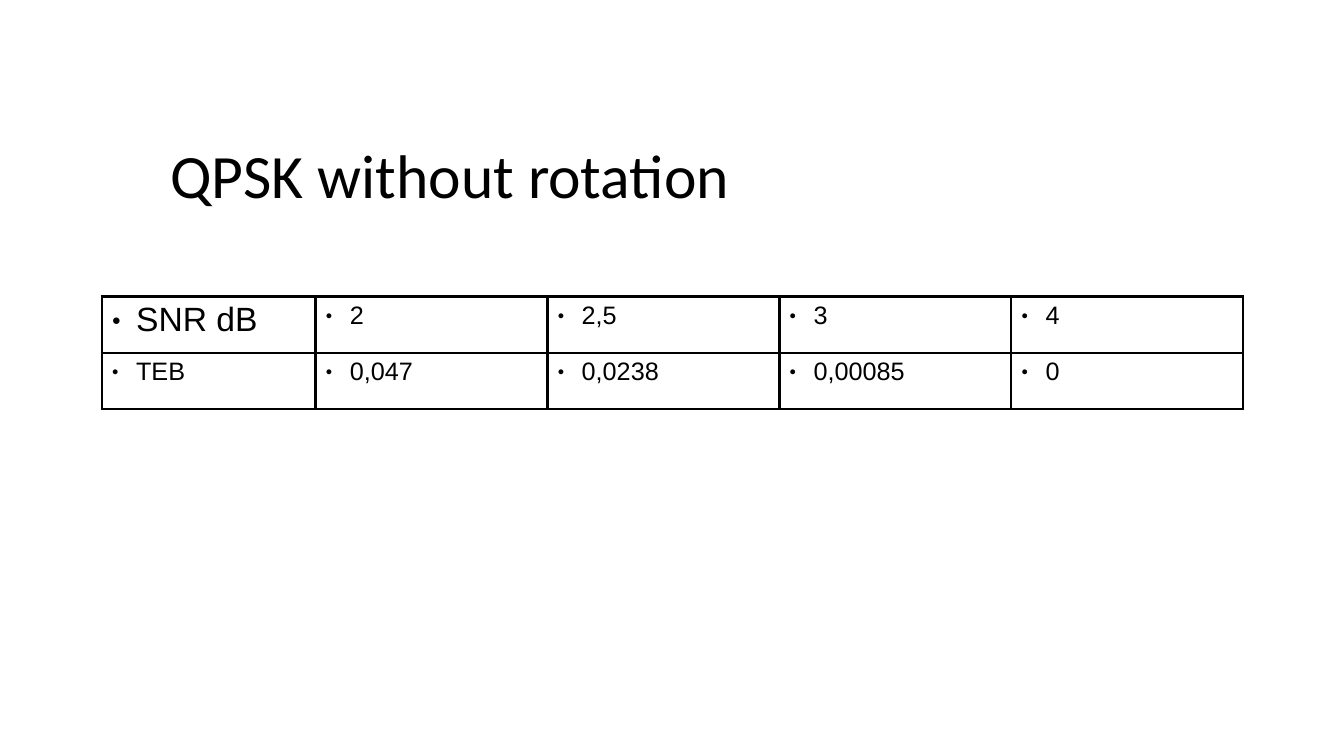
from lxml.etree import SubElement
from pptx import Presentation
from pptx.dml.color import RGBColor
from pptx.enum.text import MSO_ANCHOR
from pptx.oxml.ns import qn
from pptx.util import Inches, Pt

TITLE = "QPSK without rotation"
ROWS = [
    ("SNR dB", "2", "2,5", "3", "4"),
    ("TEB", "0,047", "0,0238", "0,00085", "0"),
]
COLUMN_WIDTHS = [2.12] + [2.3] * 4
ROW_HEIGHT = 0.56
INK = "000000"
BORDER_WIDTH = 1.98
BULLET_INDENT = 0.24


def color(hex_text):
    return RGBColor.from_string(hex_text)


def write(frame, text, size, font="Arial", ink=INK):
    para = frame.paragraphs[0]
    span = para.add_run()
    span.text = text
    span.font.size = Pt(size)
    span.font.name = font
    span.font.color.rgb = color(ink)
    return para


def add_bullet(para):
    props = para._p.get_or_add_pPr()
    props.set("marL", str(Inches(BULLET_INDENT)))
    props.set("indent", str(-Inches(BULLET_INDENT)))
    tint = SubElement(props, qn("a:buClr"))
    SubElement(tint, qn("a:srgbClr"), val=INK)
    SubElement(props, qn("a:buSzPct"), val="45000")
    SubElement(props, qn("a:buFont"), typeface="Arial")
    SubElement(props, qn("a:buChar"), char="●")


def add_borders(cell):
    props = cell._tc.get_or_add_tcPr()
    for side in ("L", "R", "T", "B"):
        line = SubElement(props, qn(f"a:ln{side}"), w=str(Pt(BORDER_WIDTH)))
        fill = SubElement(line, qn("a:solidFill"))
        SubElement(fill, qn("a:srgbClr"), val=INK)


def add_title(page):
    box = page.shapes.add_textbox(Inches(1.59), Inches(1.37), Inches(6.59), Inches(0.81))
    frame = box.text_frame
    frame.word_wrap = True
    frame.vertical_anchor = MSO_ANCHOR.MIDDLE
    write(frame, TITLE, 44, font="Calibri").line_spacing = 0.9


def add_results(page):
    table = page.shapes.add_table(
        len(ROWS), len(COLUMN_WIDTHS), Inches(1.01), Inches(2.94),
        Inches(sum(COLUMN_WIDTHS)), Inches(ROW_HEIGHT * len(ROWS)),
    ).table
    table.first_row = table.horz_banding = False
    for column, width in zip(table.columns, COLUMN_WIDTHS):
        column.width = Inches(width)
    for r, values in enumerate(ROWS):
        table.rows[r].height = Inches(ROW_HEIGHT)
        for c, value in enumerate(values):
            cell = table.cell(r, c)
            size = 24 if r == c == 0 else 18
            add_bullet(write(cell.text_frame, value, size))
            add_borders(cell)
            cell.fill.background()


def main():
    deck = Presentation()
    deck.slide_width, deck.slide_height = Inches(13.33), Inches(7.5)
    page = deck.slides.add_slide(deck.slide_layouts[6])
    add_title(page)
    add_results(page)
    deck.save("out.pptx")


if __name__ == "__main__":
    main()
